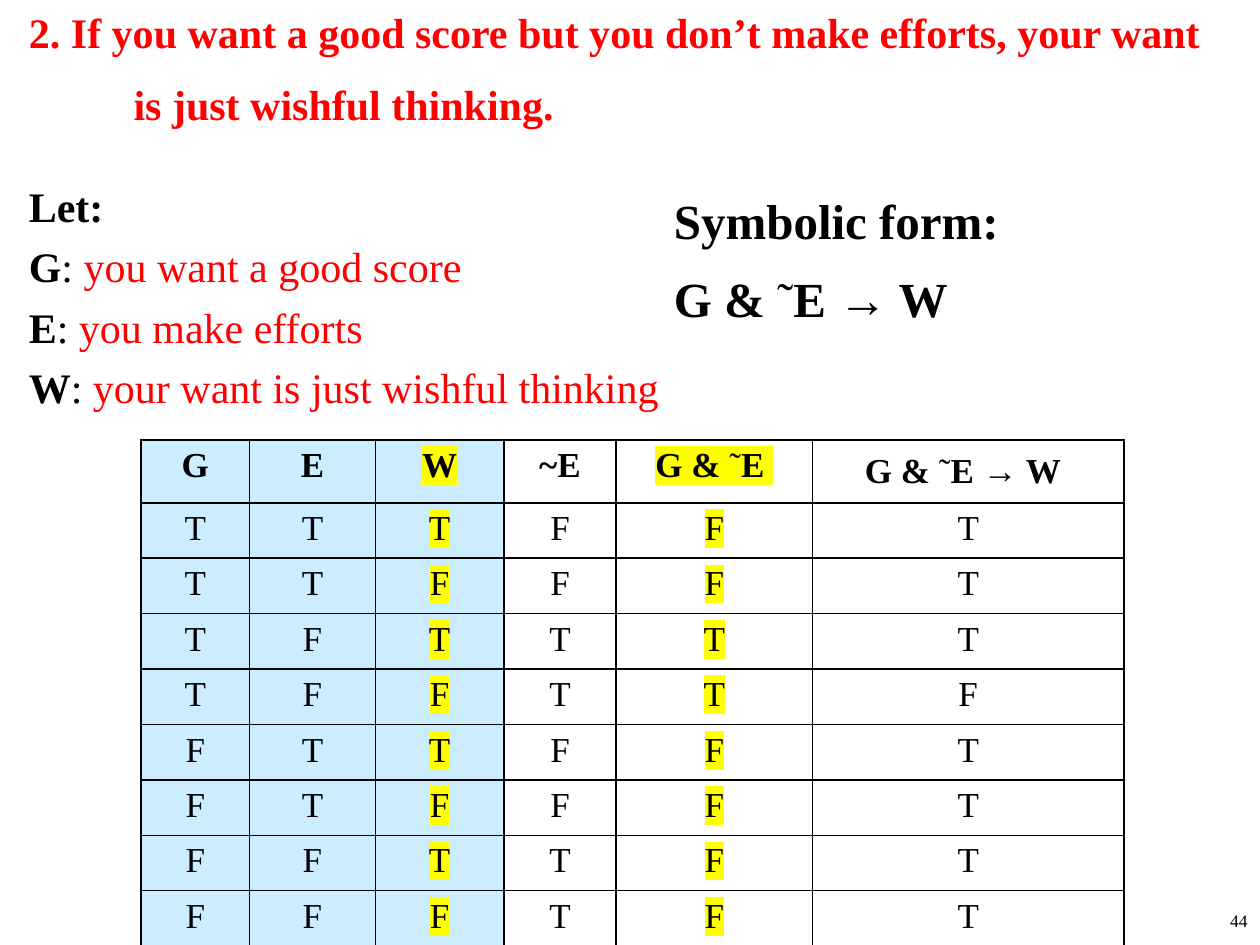
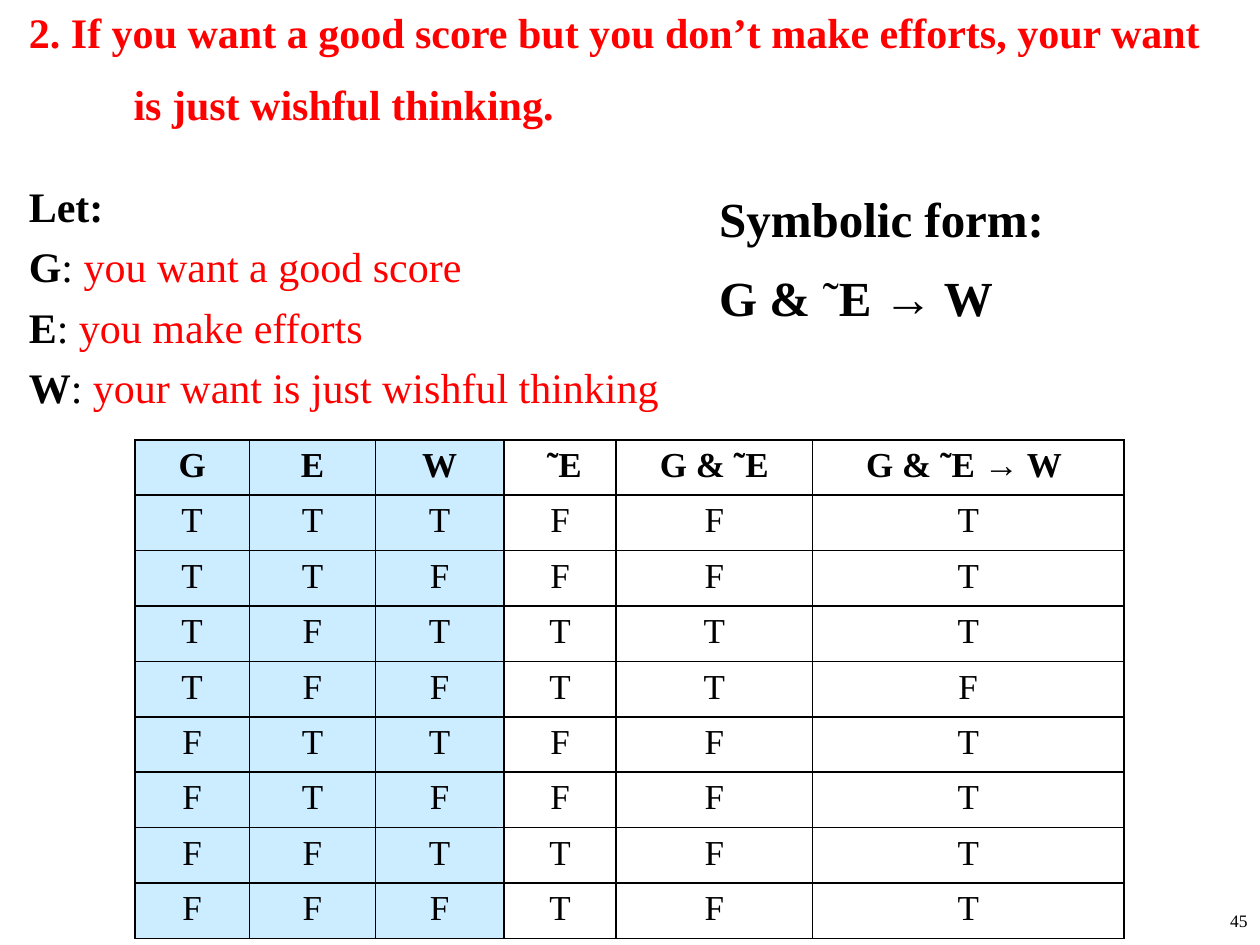
from dataclasses import dataclass
from itertools import product

from pptx import Presentation
from pptx.dml.color import RGBColor as Rgb
from pptx.enum.text import MSO_ANCHOR as Anchor, MSO_AUTO_SIZE as Fit, PP_ALIGN as Align
from pptx.oxml.ns import qn
from pptx.util import Inches, Pt
from lxml.etree import SubElement, Element


@dataclass(frozen=True)
class Theme:
    font: str = "Times New Roman"
    ink: str = "000000"
    red: str = "FF0000"
    blue: str = "CCECFF"
    mark: str = "FFFF00"
    body: int = 24
    form: int = 28
    cell: int = 20
    page: int = 10


T = Theme()
CLAIM = ("2. If you want a good score but you don’t make efforts, "
         "your want is just wishful thinking.")
TERMS = {"G": "you want a good score", "E": "you make efforts",
         "W": "your want is just wishful thinking"}
INPUTS = len(TERMS)
THIN = {"bold": False}
FORM = ["G & ", ("˜", THIN), "E → W"]


def style(run, size=T.body, color=T.ink, bold=False, mark=None):
    font = run.font
    font.size, font.bold, font.name = Pt(size), bold, T.font
    font.color.rgb = Rgb.from_string(color)
    if mark:
        glow = Element(qn("a:highlight"))
        SubElement(glow, qn("a:srgbClr")).set("val", mark)
        run.font._element.find(qn("a:latin")).addprevious(glow)


def write(frame, paras, align=Align.LEFT, gap=0, hang=0, **form):
    """Fill a frame; a paragraph lists its runs as text or (text, changes)."""
    frame.word_wrap = True
    for i, runs in enumerate(paras):
        para = frame.add_paragraph() if i else frame.paragraphs[0]
        para.alignment = align
        para.space_before = Pt(gap if i else 0)
        if hang:
            props = para._p.get_or_add_pPr()
            props.set("marL", str(Inches(hang)))
            props.set("indent", str(-Inches(hang)))
        for item in runs:
            text, change = (item, {}) if isinstance(item, str) else item
            run = para.add_run()
            run.text = text
            style(run, **{**form, **change})


def add_text(slide, box, paras, **form):
    shape = slide.shapes.add_textbox(*map(Inches, box))
    write(shape.text_frame, paras, **form)


def add_title(slide, box):
    title = slide.shapes.title
    title.left, title.top, title.width, title.height = map(Inches, box)
    frame = title.text_frame
    frame.auto_size = Fit.NONE
    frame.vertical_anchor = Anchor.MIDDLE
    write(frame, [[CLAIM, (" ", {"size": 36})]], hang=0.83,
          color=T.red, bold=True)


def add_terms(slide, box):
    rows = [[("Let:", {"bold": True})]]
    rows += [[(key, {"bold": True}), ": ", (text, {"color": T.red})]
             for key, text in TERMS.items()]
    add_text(slide, box, rows, gap=5.8)


def add_form(slide, box):
    add_text(slide, box, [["Symbolic form:"], FORM + [(" ", {"size": 32})]],
             gap=7.4, size=T.form, bold=True)


def edge(cell):
    props = cell._tc.get_or_add_tcPr()
    for i, side in enumerate(("lnL", "lnR", "lnT", "lnB")):
        line = Element(qn("a:" + side), w=str(Pt(1)))
        fill = SubElement(line, qn("a:solidFill"))
        SubElement(fill, qn("a:srgbClr")).set("val", T.ink)
        props.insert(i, line)


def truth():
    """Yield the letters of each row of the truth table."""
    for g, e, w in product((True, False), repeat=INPUTS):
        both = g and not e
        yield ["T" if v else "F" for v in (g, e, w, not e, both, not both or w)]


def add_truth(slide, spot, first, top, heads, marked):
    widths = [first, 1, 1.02, 0.89, 1.56, 2.47]
    rows = [heads] + [[[v] for v in row] for row in truth()]
    highs = [top] + [0.44] * (len(rows) - 1)
    box = (*spot, sum(widths), sum(highs))
    table = slide.shapes.add_table(len(rows), len(widths),
                                   *map(Inches, box)).table
    table.first_row = table.horz_banding = False
    for col, width in zip(table.columns, widths):
        col.width = Inches(width)
    for r, row in enumerate(rows):
        table.rows[r].height = Inches(highs[r])
        for c, runs in enumerate(row):
            cell = table.cell(r, c)
            if c < INPUTS:
                cell.fill.solid()
                cell.fill.fore_color.rgb = Rgb.from_string(T.blue)
            else:
                cell.fill.background()
            edge(cell)
            write(cell.text_frame, [runs], align=Align.CENTER, size=T.cell,
                  bold=r == 0, mark=T.mark if c in marked else None)


def add_slide(deck, page, form, table):
    slide = deck.slides.add_slide(deck.slide_layouts[5])
    add_text(slide, (7.92, 7.17, 2.08, 0.33), [[str(page)]],
             align=Align.RIGHT, size=T.page)
    add_title(slide, (0.13, -0.07, 9.74, 1.25))
    add_terms(slide, (0.13, 1.38, 5.78, 1.69))
    add_form(slide, form)
    add_truth(slide, **table)


def main():
    deck = Presentation()
    deck.slide_width, deck.slide_height = Inches(10), Inches(7.5)
    names = [[key] for key in TERMS]
    add_slide(deck, 44, (5.25, 1.46, 4.62, 1.22), dict(
        spot=(1.12, 3.49), first=0.86, top=0.5, marked=(2, 4),
        heads=names + [["~E"], ["G & ", ("˜", THIN), "E "],
                       FORM + [(" ", {"size": 24})]]))
    add_slide(deck, 45, (5.61, 1.45, 4.02, 1.22), dict(
        spot=(1.07, 3.49), first=0.91, top=0.44, marked=(),
        heads=names + [[" ˜E"], ["G & ˜E"], ["G & ˜E → W "]]))
    deck.save("out.pptx")


if __name__ == "__main__":
    main()
